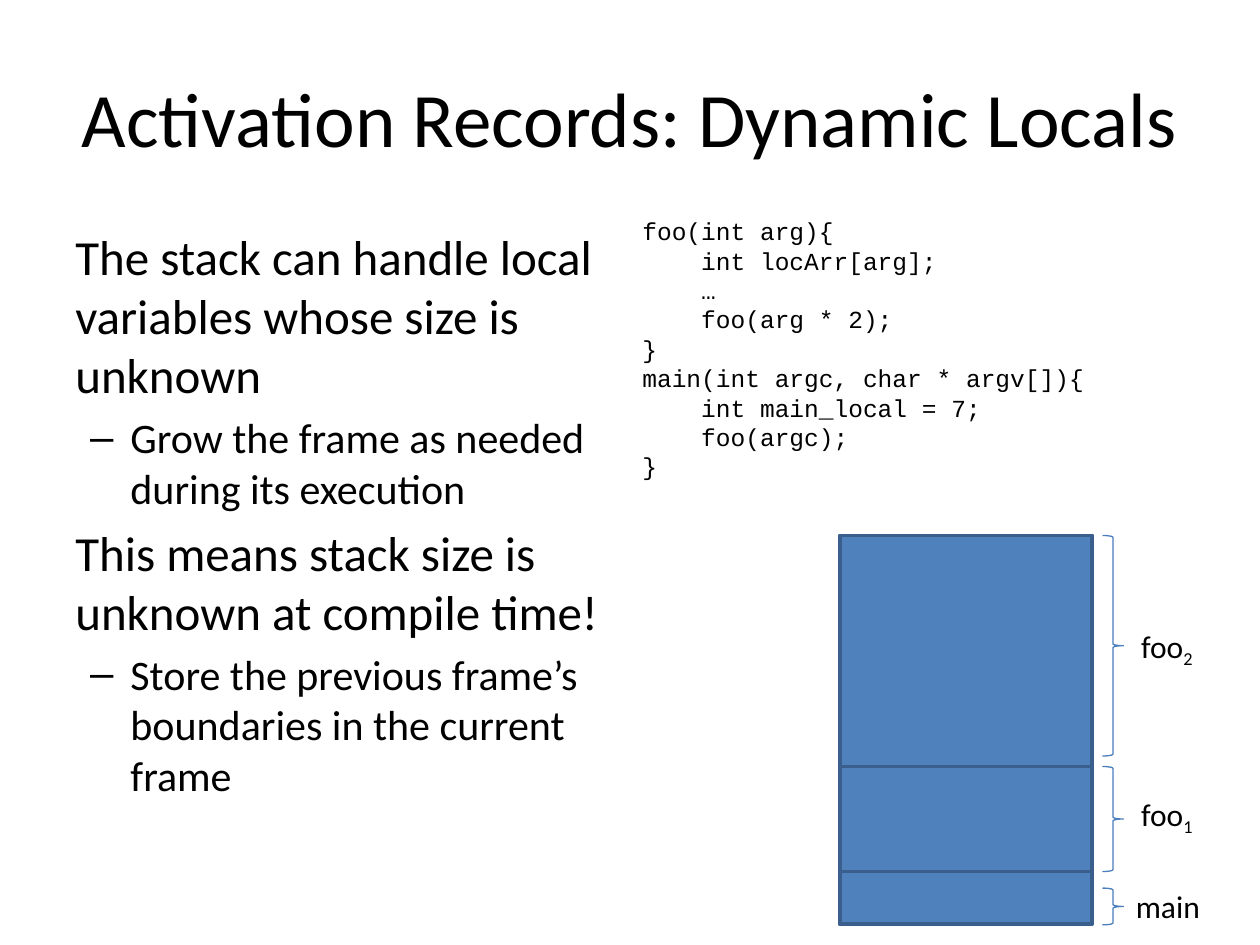
"""Build the slide on activation records with dynamically sized locals."""
from lxml import etree
from pptx import Presentation
from pptx.dml.color import RGBColor
from pptx.enum.shapes import MSO_SHAPE
from pptx.enum.text import MSO_ANCHOR, MSO_AUTO_SIZE, PP_ALIGN
from pptx.oxml.ns import qn
from pptx.util import Pt

RECTANGLE = MSO_SHAPE.RECTANGLE
LEFT_BRACE = MSO_SHAPE.LEFT_BRACE
MIDDLE = MSO_ANCHOR.MIDDLE
CENTER = PP_ALIGN.CENTER
FIT_SHAPE = MSO_AUTO_SIZE.SHAPE_TO_FIT_TEXT
NO_FIT = MSO_AUTO_SIZE.NONE

BLACK = RGBColor(0x00, 0x00, 0x00)
FRAME_FILL = RGBColor(0x4F, 0x81, 0xBD)
FRAME_LINE = RGBColor(0x3A, 0x5F, 0x8C)
BRACE_LINE = RGBColor(0x4B, 0x7E, 0xBC)
TEXT_FONT = "Calibri"
CODE_FONT = "Courier New"

TITLE = "Activation Records: Dynamic Locals"
POINTS = [
    (0, "The stack can handle local variables whose size is unknown"),
    (1, "Grow the frame as needed during its execution"),
    (0, "This means stack size is unknown at compile time!"),
    (1, "Store the previous frame’s boundaries in the current frame"),
]
POINT_SIZES = (28, 24)
CODE = [
    "foo(int arg){",
    "    int locArr[arg];",
    "    …",
    "    foo(arg * 2);\n}",
    "main(int argc, char * argv[]){",
    "    int main_local = 7;",
    "    foo(argc);\n}",
]

STACK_LEFT, STACK_TOP, STACK_WIDTH = 480, 306, 144
BRACE_LEFT, BRACE_WIDTH = 630, 12
LABEL_HEIGHT = 29
# name, subscript, frame height, brace offset and height, label left, top, width
FRAMES = [
    ("foo", "2", 132, 0, 126, 645, 354.5, 45.5),
    ("foo", "1", 60, 0, 60, 645, 450.5, 45.5),
    ("main", "", 30, 9.5, 21, 642, 503.5, 52),
]


def add_run(paragraph, text, size, font_name=TEXT_FONT):
    run = paragraph.add_run()
    run.text = text
    run.font.size = Pt(size)
    run.font.name = font_name
    run.font.color.rgb = BLACK
    return run


def add_text_box(slide, left, top, width, height, wrap=False):
    box = slide.shapes.add_textbox(Pt(left), Pt(top), Pt(width), Pt(height))
    box.text_frame.word_wrap = wrap
    box.text_frame.auto_size = NO_FIT if wrap else FIT_SHAPE
    return box.text_frame


def paragraphs_for(frame, items):
    for index, item in enumerate(items):
        yield frame.add_paragraph() if index else frame.paragraphs[0], item


def add_outline(slide, preset, left, top, width, height, color, weight):
    shape = slide.shapes.add_shape(preset, Pt(left), Pt(top), Pt(width), Pt(height))
    shape.shadow.inherit = False
    shape.line.color.rgb = color
    shape.line.width = Pt(weight)
    return shape


def add_block(slide, top, height):
    block = add_outline(slide, RECTANGLE, STACK_LEFT, top, STACK_WIDTH, height, FRAME_LINE, 2)
    block.fill.solid()
    block.fill.fore_color.rgb = FRAME_FILL


def add_brace(slide, top, height):
    brace = add_outline(slide, LEFT_BRACE, BRACE_LEFT, top, BRACE_WIDTH, height, BRACE_LINE, 0.75)
    brace.fill.background()
    brace._element.spPr.find(qn("a:xfrm")).set("flipH", "1")


def add_title(slide):
    title = slide.shapes.title
    title.left, title.top, title.width, title.height = Pt(36), Pt(21.6), Pt(648), Pt(90)
    title.text_frame.vertical_anchor = MIDDLE
    paragraph = title.text_frame.paragraphs[0]
    paragraph.alignment = CENTER
    add_run(paragraph, TITLE, 44)


def add_points(slide):
    frame = add_text_box(slide, 36, 126, 318, 356.4, wrap=True)
    for paragraph, (level, text) in paragraphs_for(frame, POINTS):
        size = POINT_SIZES[level]
        paragraph.level = level
        paragraph.space_before = Pt(size * 0.2)
        add_run(paragraph, text, size)
        if level:
            properties = paragraph._p.get_or_add_pPr()
            properties.set("marL", str(Pt(31.5)))
            properties.set("indent", str(-Pt(23)))
            etree.SubElement(properties, qn("a:buFont")).set("typeface", "Arial")
            etree.SubElement(properties, qn("a:buChar")).set("char", "–")


def add_code(slide):
    frame = add_text_box(slide, 360, 120, 268.5, 160)
    for paragraph, text in paragraphs_for(frame, CODE):
        for index, line in enumerate(text.split("\n")):
            if index:
                paragraph.add_line_break()
            add_run(paragraph, line, 14, CODE_FONT)


def add_stack(slide):
    add_block(slide, STACK_TOP, sum(frame[2] for frame in FRAMES))
    top = STACK_TOP
    for name, subscript, height, offset, brace_height, left, label_top, width in FRAMES:
        add_block(slide, top, height)
        add_brace(slide, top + offset, brace_height)
        paragraph = add_text_box(slide, left, label_top, width, LABEL_HEIGHT).paragraphs[0]
        add_run(paragraph, name, 18)
        if subscript:
            run = add_run(paragraph, subscript, 18)
            run._r.get_or_add_rPr().set("baseline", "-25000")
        top += height


def main():
    presentation = Presentation()
    presentation.slide_width, presentation.slide_height = Pt(720), Pt(540)
    slide = presentation.slides.add_slide(presentation.slide_layouts[5])
    add_title(slide)
    add_points(slide)
    add_code(slide)
    add_stack(slide)
    presentation.save("out.pptx")


if __name__ == "__main__":
    main()
